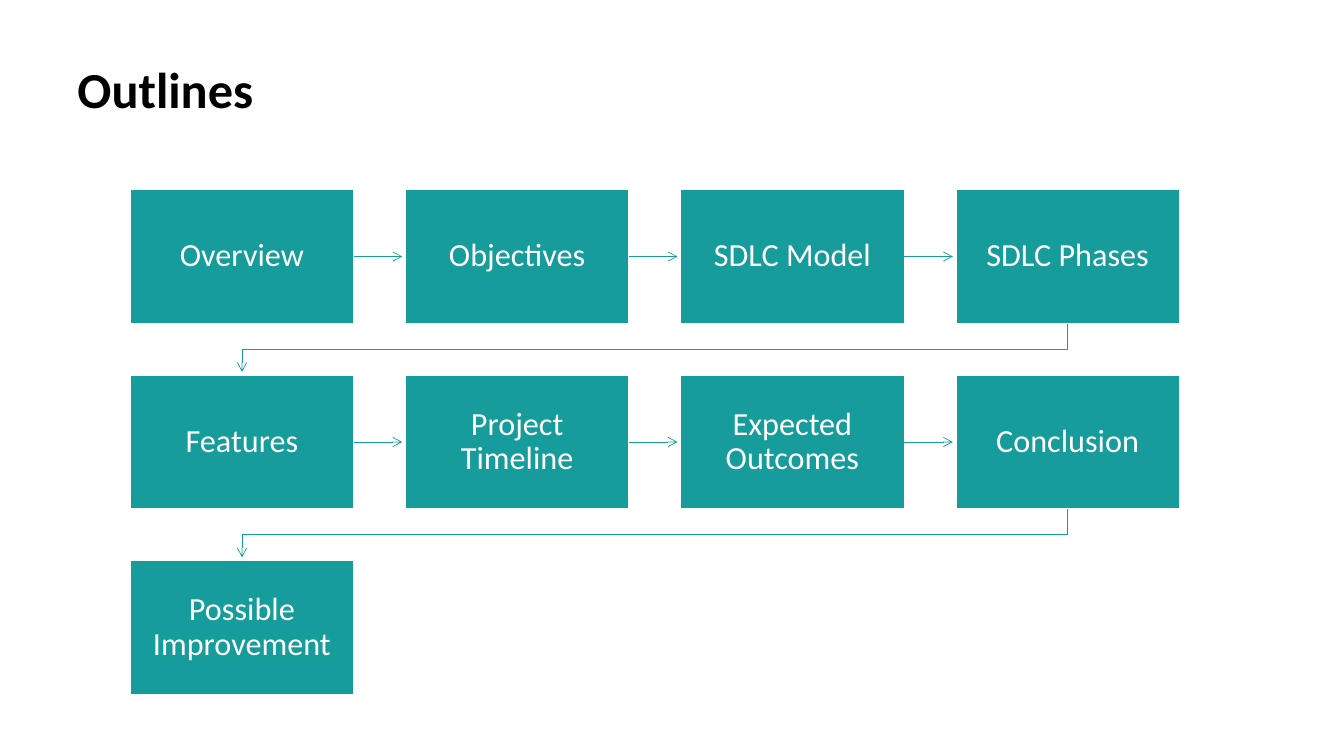
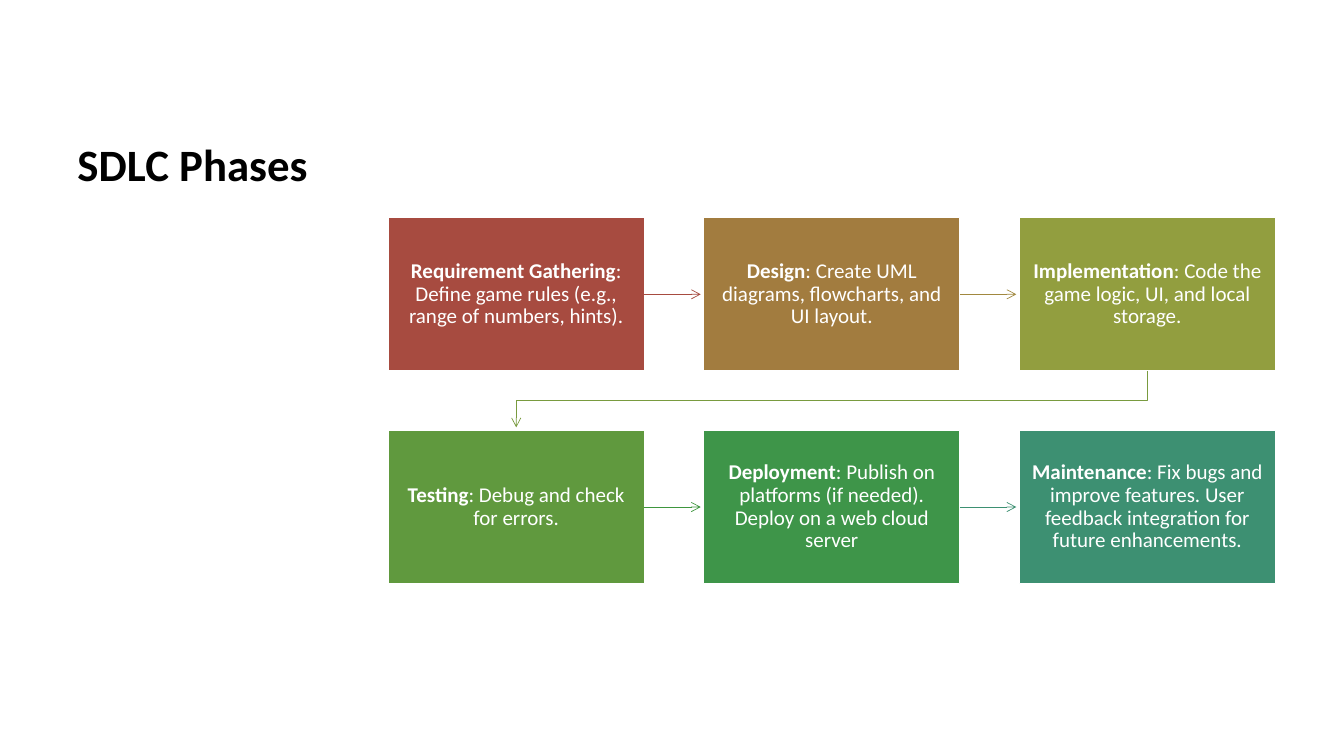
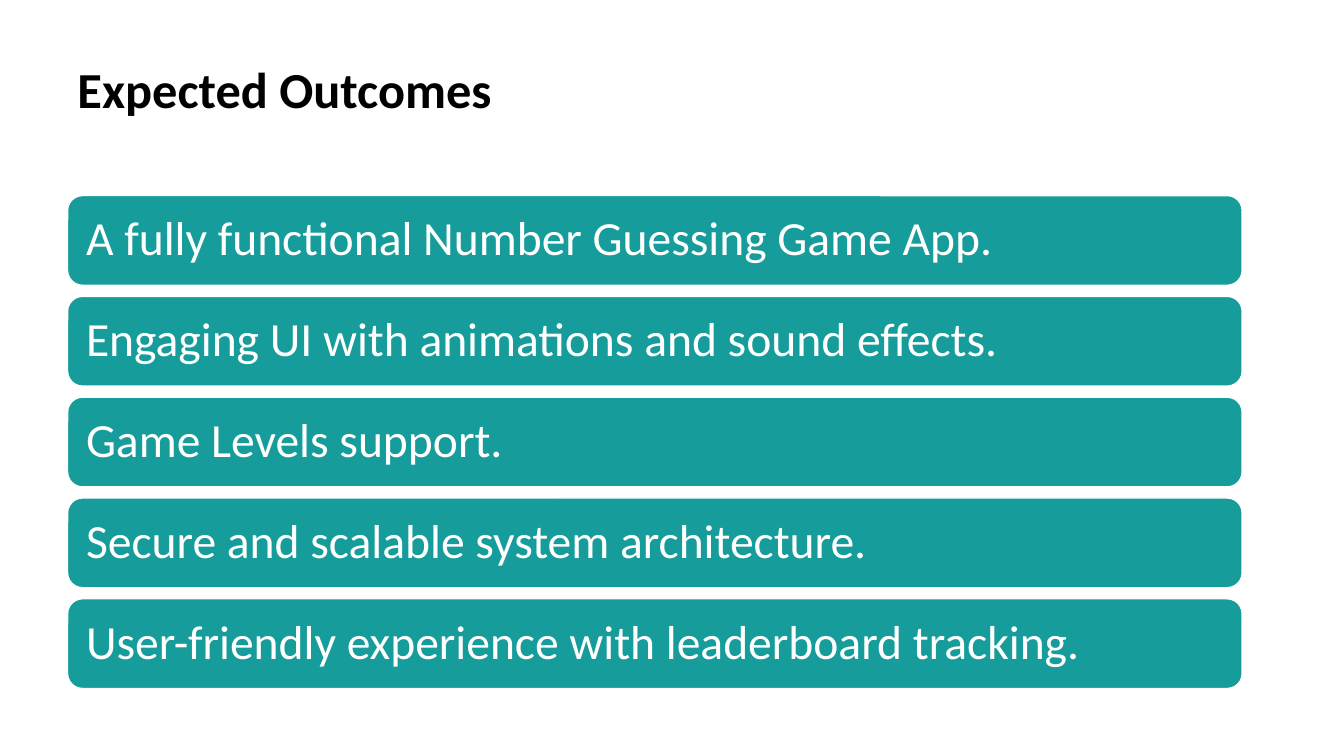
from dataclasses import dataclass

from lxml import etree
from pptx import Presentation
from pptx import util as u
from pptx.dml.color import RGBColor
from pptx.enum import shapes, text
from pptx.oxml.ns import qn
from pptx.shapes.autoshape import Shape
from pptx.slide import Slide

FONT = "Calibri"
LINE_SPACING = 0.9
ARROW_CLEARANCE = 0.03
COLOURS = {
    "title": "000000",
    "white": "FFFFFF",
    "teal": "169C9A",
    "red": "A74B40",
    "brown": "A27C3F",
    "olive": "929E3F",
    "lime": "60993E",
    "green": "3E9549",
    "sea": "3D9072",
    "ochre_arrow": "A1883F",
    "lime_arrow": "799B3F",
    "green_arrow": "3E963E",
}


@dataclass(frozen=True)
class Step:
    """A flow box; the arrow colour is that of the arrow leaving it."""
    body: str
    heading: str = ""
    fill: str = "teal"
    arrow: str = "teal"


@dataclass(frozen=True)
class FlowGrid:
    left: float
    top: float
    width: float
    height: float
    gap: float
    columns: int
    font_size: int
    inset: float

    def origin(self, index: int) -> tuple[float, float]:
        row, column = divmod(index, self.columns)
        return (self.left + column * (self.width + self.gap),
                self.top + row * (self.height + self.gap))


OUTLINE_GRID = FlowGrid(1.29, 1.88, 2.22, 1.33, 0.51, 4, 23, 0.11)
OUTLINE = [Step(name) for name in (
    "Overview", "Objectives", "SDLC Model", "SDLC Phases",
    "Features", "Project Timeline", "Expected Outcomes", "Conclusion",
    "Possible Improvement",
)]

PHASE_GRID = FlowGrid(3.85, 2.16, 2.54, 1.52, 0.59, 3, 15, 0.12)
PHASES = [
    Step(": Define game rules (e.g., range of numbers, hints).",
         "Requirement Gathering", "red", "red"),
    Step(": Create UML diagrams, flowcharts, and UI layout.",
         "Design", "brown", "ochre_arrow"),
    Step(": Code the game logic, UI, and local storage.",
         "Implementation", "olive", "lime_arrow"),
    Step(": Debug and check for errors.", "Testing", "lime", "green_arrow"),
    Step(": Publish on platforms (if needed). Deploy on a web cloud server",
         "Deployment", "green", "sea"),
    Step(": Fix bugs and improve features. User feedback integration for "
         "future enhancements.", "Maintenance", "sea"),
]

OUTCOMES = [
    "A fully functional Number Guessing Game App.",
    "Engaging UI with animations and sound effects.",
    "Game Levels support.",
    "Secure and scalable system architecture.",
    "User-friendly experience with leaderboard tracking.",
]


def colour(name: str) -> RGBColor:
    return RGBColor.from_string(COLOURS[name])


def style_paragraph(paragraph, size: int, colour_name: str, alignment) -> None:
    paragraph.alignment = alignment
    paragraph.line_spacing = LINE_SPACING
    paragraph.font.name = FONT
    paragraph.font.size = u.Pt(size)
    paragraph.font.color.rgb = colour(colour_name)


def add_title(slide: Slide, title: str, top: float = 0.6, width: float = 11.65,
              height: float = 1.24, size: int = 36) -> None:
    box = slide.shapes.add_textbox(
        u.Inches(0.67), u.Inches(top), u.Inches(width), u.Inches(height))
    box.text_frame.word_wrap = True
    paragraph = box.text_frame.paragraphs[0]
    paragraph.text = title
    style_paragraph(paragraph, size, "title", text.PP_ALIGN.LEFT)
    paragraph.font.bold = True


def add_panel(slide: Slide, kind, left: float, top: float, width: float,
              height: float, step: Step, size: int, inset: float, alignment) -> Shape:
    """Add a filled box with an optional bold heading before its text."""
    panel = slide.shapes.add_shape(
        kind, u.Inches(left), u.Inches(top), u.Inches(width), u.Inches(height))
    panel.shadow.inherit = False
    panel.fill.solid()
    panel.fill.fore_color.rgb = colour(step.fill)
    panel.line.color.rgb = colour("white")
    panel.line.width = u.Pt(1)
    frame = panel.text_frame
    frame.word_wrap = True
    frame.vertical_anchor = text.MSO_ANCHOR.MIDDLE
    frame.margin_left = frame.margin_right = u.Inches(inset)
    frame.margin_top = frame.margin_bottom = u.Inches(inset)
    paragraph = frame.paragraphs[0]
    style_paragraph(paragraph, size, "white", alignment)
    if step.heading:
        heading = paragraph.add_run()
        heading.text = step.heading
        heading.font.bold = True
    paragraph.add_run().text = step.body
    return panel


def style_arrow(arrow, colour_name: str) -> None:
    arrow.line.color.rgb = colour(colour_name)
    arrow.line.width = u.Pt(0.5)
    properties = arrow._element.spPr
    etree.SubElement(properties.find(qn("a:ln")), qn("a:tailEnd"), type="arrow")
    if properties.find(qn("a:effectLst")) is None:
        etree.SubElement(properties, qn("a:effectLst"))


def add_row_arrow(slide: Slide, source: Shape, target: Shape, colour_name: str) -> None:
    middle = source.top + source.height // 2
    arrow = slide.shapes.add_connector(
        shapes.MSO_CONNECTOR.STRAIGHT, source.left + source.width, middle,
        target.left - u.Inches(ARROW_CLEARANCE), middle)
    arrow.begin_connect(source, 3)
    style_arrow(arrow, colour_name)


def add_wrap_arrow(slide: Slide, source: Shape, target: Shape, colour_name: str) -> None:
    """Lead from the end of one row to the start of the next."""
    start_x = source.left + source.width // 2
    end_x = target.left + target.width // 2
    start_y = source.top + source.height
    bend_y = (start_y + target.top) // 2
    builder = slide.shapes.build_freeform(start_x, start_y)
    builder.add_line_segments(
        [(start_x, bend_y), (end_x, bend_y),
         (end_x, target.top - u.Inches(ARROW_CLEARANCE))], close=False)
    arrow = builder.convert_to_shape()
    arrow.fill.background()
    arrow.shadow.inherit = False
    style_arrow(arrow, colour_name)


def add_flow(slide: Slide, grid: FlowGrid, steps: list[Step]) -> None:
    boxes = [
        add_panel(slide, shapes.MSO_SHAPE.RECTANGLE, *grid.origin(index),
                  grid.width, grid.height, step, grid.font_size, grid.inset,
                  text.PP_ALIGN.CENTER)
        for index, step in enumerate(steps)
    ]
    for step, source, target in zip(steps, boxes, boxes[1:]):
        add_arrow = add_row_arrow if source.top == target.top else add_wrap_arrow
        add_arrow(slide, source, target, step.arrow)


def add_bars(slide: Slide, sentences: list[str]) -> None:
    for index, sentence in enumerate(sentences):
        add_panel(slide, shapes.MSO_SHAPE.ROUNDED_RECTANGLE, 0.67, 1.94 + index,
                  11.65, 0.89, Step(sentence), 34, 0.14, text.PP_ALIGN.LEFT)


def main() -> None:
    presentation = Presentation()
    presentation.slide_width = u.Inches(13.33)
    presentation.slide_height = u.Inches(7.5)
    blank = presentation.slide_layouts[6]

    outline = presentation.slides.add_slide(blank)
    add_title(outline, "Outlines")
    add_flow(outline, OUTLINE_GRID, OUTLINE)

    phases = presentation.slides.add_slide(blank)
    add_title(phases, "SDLC Phases", top=1.37, width=3.18, height=5.22, size=32)
    add_flow(phases, PHASE_GRID, PHASES)

    outcomes = presentation.slides.add_slide(blank)
    add_title(outcomes, "Expected Outcomes")
    add_bars(outcomes, OUTCOMES)

    presentation.save("out.pptx")


if __name__ == "__main__":
    main()
